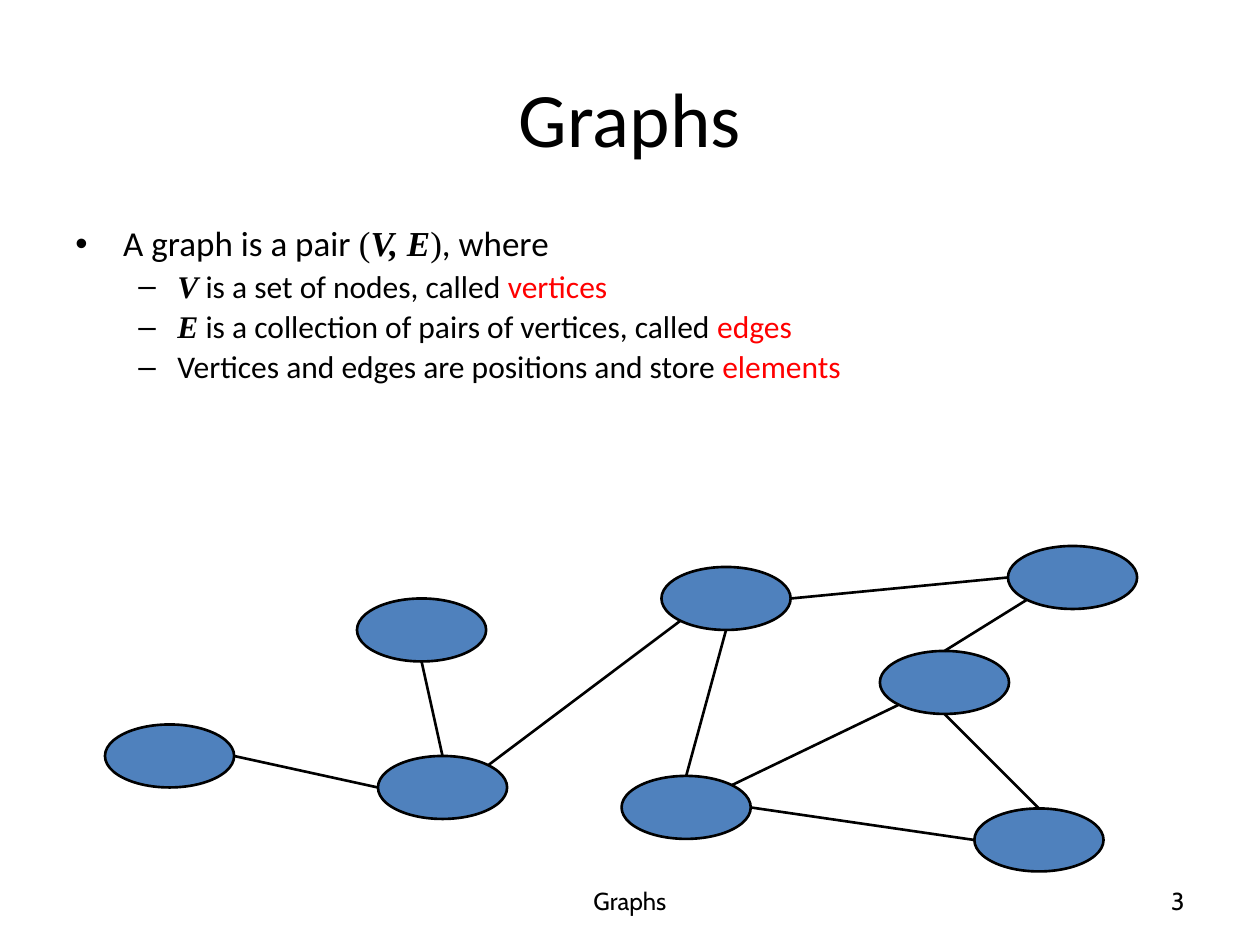
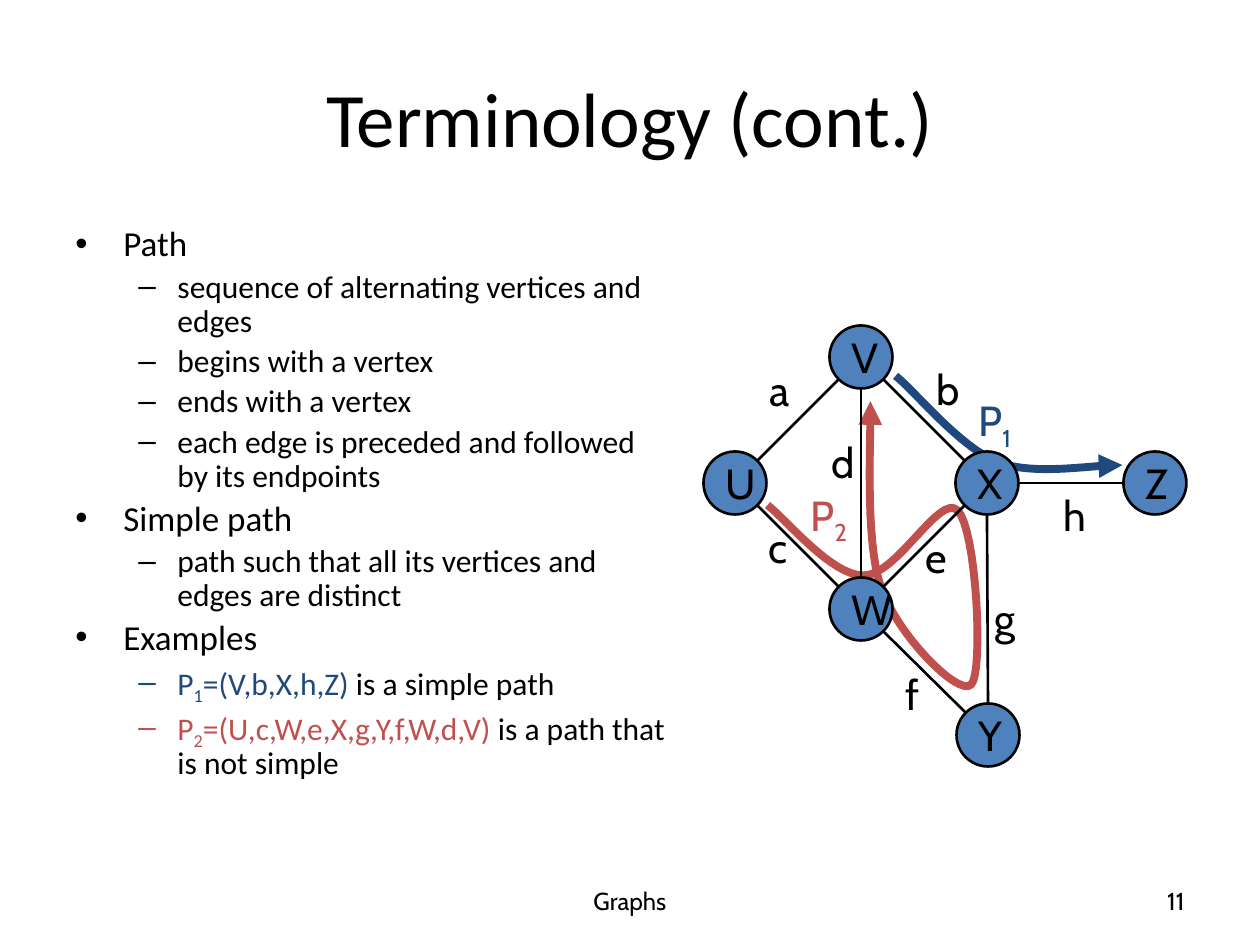
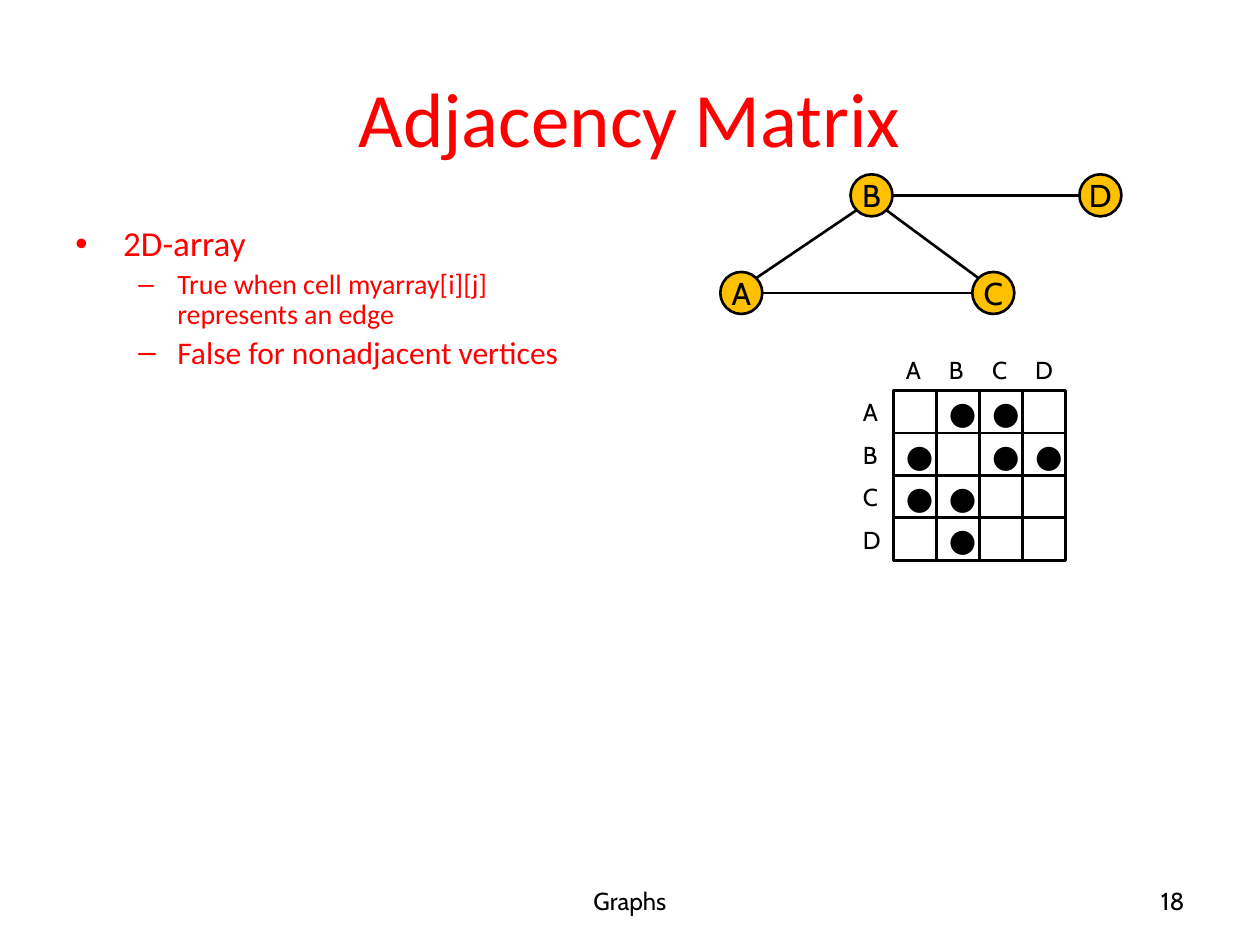
import itertools
import math

import lxml.etree
import pptx
import pptx.dml.color
import pptx.enum.shapes
import pptx.enum.text
import pptx.oxml.ns
import pptx.util

RGBColor = pptx.dml.color.RGBColor
BLACK = RGBColor(0x00, 0x00, 0x00)
WHITE = RGBColor(0xFF, 0xFF, 0xFF)
RED = RGBColor(0xFF, 0x00, 0x00)
NODE_BLUE = RGBColor(0x4F, 0x81, 0xBD)
NODE_GOLD = RGBColor(0xFF, 0xC0, 0x00)
PATH_BLUE = RGBColor(0x1F, 0x49, 0x7D)
PATH_RED = RGBColor(0xC0, 0x50, 0x4D)

BODY_FONT = "Calibri"
LABEL_FONT = "Cabin"
MATH_FONT = "Times New Roman"

COLUMNS, ROWS = 120, 90
WIDTH, HEIGHT = pptx.util.Inches(10), pptx.util.Inches(7.5)

LEFT = pptx.enum.text.PP_ALIGN.LEFT
CENTER = pptx.enum.text.PP_ALIGN.CENTER
RIGHT = pptx.enum.text.PP_ALIGN.RIGHT
TOP = pptx.enum.text.MSO_ANCHOR.TOP
MIDDLE = pptx.enum.text.MSO_ANCHOR.MIDDLE
OVAL = pptx.enum.shapes.MSO_SHAPE.OVAL
RECTANGLE = pptx.enum.shapes.MSO_SHAPE.RECTANGLE

# Bullet character, left margin and hanging indent in inches, for each level
BULLETS = [("•", 0.38, -0.38), ("–", 0.81, -0.31)]

# Directions from the middle of a node to a point on its outline
DIAGONAL = math.sqrt(0.5)
SIDES = {
    "n": (0, -1), "s": (0, 1), "w": (-1, 0), "e": (1, 0),
    "nw": (-DIAGONAL, -DIAGONAL), "ne": (DIAGONAL, -DIAGONAL),
    "sw": (-DIAGONAL, DIAGONAL), "se": (DIAGONAL, DIAGONAL),
}


def add_xml(parent, tag, **attributes):
    return lxml.etree.SubElement(parent, pptx.oxml.ns.qn(tag), attributes)


def curve_points(start, segments, steps=16):
    """Points along joined cubic curves, each given as two controls and an end."""
    points = [start]
    for first, second, end in segments:
        corners = (points[-1], first, second, end)
        for step in range(1, steps + 1):
            t = step / steps
            weights = ((1 - t) ** 3, 3 * t * (1 - t) ** 2, 3 * t * t * (1 - t), t ** 3)
            points.append(tuple(sum(w * corner[axis] for w, corner in zip(weights, corners))
                                for axis in (0, 1)))
    return points


class Deck:
    """Holds the presentation, the current slide and the shared style."""

    def __init__(self):
        self.presentation = pptx.Presentation()
        self.presentation.slide_width = WIDTH
        self.presentation.slide_height = HEIGHT
        self.slide = None

    def x(self, columns):
        return round(WIDTH * columns / COLUMNS)

    def y(self, rows):
        return round(HEIGHT * rows / ROWS)

    def box(self, left, top, width, height):
        return self.x(left), self.y(top), self.x(width), self.y(height)

    def start_slide(self, title, number, body, body_width=108, color=BLACK):
        layout = self.presentation.slide_layouts[6]
        self.slide = self.presentation.slides.add_slide(layout)
        self.text((6, 3.6, 108, 15), title, 44, BODY_FONT, color, CENTER, MIDDLE, wrap=True)
        self.body(body, body_width, color)
        for box, text, align in (((41, 83.4, 38, 4.8), "Graphs", CENTER),
                                 ((86, 83.4, 28, 4.8), number, RIGHT)):
            self.text(box, text, 14, LABEL_FONT, BLACK, align, MIDDLE, wrap=True)

    def fill_paragraph(self, paragraph, content, size, font=BODY_FONT, color=BLACK):
        """Content is a string or a list of strings and (string, differences) pairs."""
        paragraph.font.size = pptx.util.Pt(size)
        paragraph.font.name = font
        paragraph.font.color.rgb = color
        for part in [content] if isinstance(content, str) else content:
            text, style = (part, {}) if isinstance(part, str) else part
            run = paragraph.add_run()
            run.text = text
            if "font" in style:
                run.font.name = style["font"]
            if "color" in style:
                run.font.color.rgb = style["color"]
            if style.get("strong"):
                run.font.bold = run.font.italic = True
            if style.get("subscript"):
                run.font._element.set("baseline", "-25000")

    def text(self, box, content, size, font=LABEL_FONT, color=BLACK, align=LEFT,
             anchor=TOP, wrap=False, grow=False):
        frame = self.slide.shapes.add_textbox(*self.box(*box)).text_frame
        frame.word_wrap = wrap
        frame.vertical_anchor = anchor
        if grow:
            frame.auto_size = pptx.enum.text.MSO_AUTO_SIZE.SHAPE_TO_FIT_TEXT
        frame.paragraphs[0].alignment = align
        self.fill_paragraph(frame.paragraphs[0], content, size, font, color)

    def body(self, items, width, color):
        """Items are (level, size, content)."""
        frame = self.slide.shapes.add_textbox(*self.box(6, 21, width, 59.4)).text_frame
        frame.word_wrap = True
        for index, (level, size, content) in enumerate(items):
            paragraph = frame.add_paragraph() if index else frame.paragraphs[0]
            paragraph.level = level
            paragraph.line_spacing = 0.9
            character, margin, indent = BULLETS[level]
            properties = paragraph._p.get_or_add_pPr()
            properties.set("marL", str(pptx.util.Inches(margin)))
            properties.set("indent", str(pptx.util.Inches(indent)))
            add_xml(add_xml(properties, "a:spcBef"), "a:spcPct", val="20000")
            add_xml(properties, "a:buFont", typeface="Arial")
            add_xml(properties, "a:buChar", char=character)
            self.fill_paragraph(paragraph, content, size, color=color)

    def outline(self, line, color=BLACK, width=1.5):
        line.color.rgb = color
        line.width = pptx.util.Pt(width)

    def shape(self, kind, box, fill, text="", size=18, align=LEFT):
        shape = self.slide.shapes.add_shape(kind, *self.box(*box))
        shape.shadow.inherit = False
        shape.fill.solid()
        shape.fill.fore_color.rgb = fill
        self.outline(shape.line)
        if text:
            frame = shape.text_frame
            frame.word_wrap = False
            frame.vertical_anchor = MIDDLE
            frame.paragraphs[0].alignment = align
            self.fill_paragraph(frame.paragraphs[0], text, size, LABEL_FONT)
        return shape

    def edge(self, start, start_side, end, end_side):
        ends = []
        for node, side in ((start, start_side), (end, end_side)):
            across, down = SIDES[side]
            ends += [round(node.left + node.width * (1 + across) / 2),
                     round(node.top + node.height * (1 + down) / 2)]
        straight = pptx.enum.shapes.MSO_CONNECTOR.STRAIGHT
        connector = self.slide.shapes.add_connector(straight, *ends)
        add_xml(connector._element.spPr, "a:effectLst")
        self.outline(connector.line)

    def graph(self, nodes, edges, width, height, fill, size=18, align=LEFT, lettered=True):
        """Nodes map a name to left and top; an edge reads 'A se B nw'."""
        shapes = {name: self.shape(OVAL, (*place, width, height), fill,
                                   name if lettered else "", size, align)
                  for name, place in nodes.items()}
        for edge in edges:
            start, start_side, end, end_side = edge.split()
            self.edge(shapes[start], start_side, shapes[end], end_side)

    def curved_arrow(self, start, segments, color, arrow_end):
        points = [(self.x(x), self.y(y)) for x, y in curve_points(start, segments)]
        builder = self.slide.shapes.build_freeform(*points[0])
        builder.add_line_segments(points[1:], close=False)
        curve = builder.convert_to_shape()
        curve.shadow.inherit = False
        curve.fill.background()
        self.outline(curve.line, color, 4.5)
        add_xml(curve.line._get_or_add_ln(), arrow_end, type="triangle")


def graphs_slide(deck):
    symbol = {"font": MATH_FONT, "strong": True}
    bracket = {"font": MATH_FONT}
    term = {"color": RED}
    deck.start_slide("Graphs", "3", [
        (0, 20, ["A graph is a pair ", ("(", bracket), ("V, E", symbol), (")", bracket),
                 ", where"]),
        (1, 18, [("V", symbol), " is a set of nodes, called ", ("vertices", term)]),
        (1, 18, [("E", symbol), " is a collection of pairs of vertices, called ",
                 ("edges", term)]),
        (1, 18, ["Vertices and edges are positions and store ", ("elements", term)]),
    ])
    nodes = {
        "center": (63, 54), "far_right": (96, 52), "low_right": (92.8, 77),
        "low_center": (59.2, 73.9), "upper_left": (34, 57), "low_left": (36, 72),
        "right": (83.8, 62), "far_left": (10, 69),
    }
    edges = [
        "low_center n center s", "low_center ne right sw", "right n far_right sw",
        "center e far_right w", "far_left e low_left w", "upper_left s low_left n",
        "right s low_right n", "low_right w low_center e", "low_left ne center sw",
    ]
    deck.graph(nodes, edges, 12.3, 6, NODE_BLUE, lettered=False)


def terminology_slide(deck):
    def path_name(digit, color, rest=""):
        parts = [("P", {"color": color}), (digit, {"color": color, "subscript": True})]
        return parts + [(rest, {"color": color})] if rest else parts

    deck.start_slide("Terminology (cont.)", "11", [
        (0, 20, "Path"),
        (1, 18, "sequence of alternating vertices and edges"),
        (1, 18, "begins with a vertex"),
        (1, 18, "ends with a vertex"),
        (1, 18, "each edge is preceded and followed by its endpoints"),
        (0, 20, "Simple path"),
        (1, 18, "path such that all its vertices and edges are distinct"),
        (0, 20, "Examples"),
        (1, 18, path_name("1", PATH_BLUE, "=(V,b,X,h,Z)") + [" is a simple path"]),
        (1, 18, path_name("2", PATH_RED, "=(U,c,W,e,X,g,Y,f,W,d,V)")
         + [" is a path that is not simple"]),
    ], body_width=58.9)
    deck.curved_arrow((82.9, 38.2), [
        ((83, 41), (82.3, 51.4), (83.9, 55.9)),
        ((85.4, 60.4), (91.3, 66.4), (92.5, 65.2)),
        ((93.7, 64), (93, 50.3), (91.2, 48.6)),
        ((89.5, 46.9), (85.3, 55), (82.2, 54.8)),
        ((79.2, 54.8), (75, 49.6), (73.1, 48.1)),
    ], PATH_RED, "a:headEnd")
    deck.curved_arrow((85.3, 35.8), [
        ((87, 37.1), (91.4, 42.6), (95, 44)),
        ((98.6, 45.4), (104.4, 44.2), (106.9, 44.3)),
    ], PATH_BLUE, "a:tailEnd")
    nodes = {"X": (91, 43), "U": (67, 43), "V": (79, 31), "W": (79, 55),
             "Z": (107, 43), "Y": (91.1, 67)}
    edges = ["V sw U ne", "W nw U se", "W ne X sw", "X e Z w", "V se X nw",
             "V s W n", "W se Y nw", "X s Y n"]
    deck.graph(nodes, edges, 6, 6, NODE_BLUE, size=24)
    labels = [
        ("a", 72.1, 34.1, 4.6), ("c", 72, 49.1, 4.3), ("b", 88, 34, 4.7),
        ("e", 87, 50, 4.6), ("d", 78, 41, 4.7), ("f", 85.1, 63.1, 3.7),
        ("g", 93.5, 55.8, 4.7), ("h", 100.1, 46, 4.7),
        (path_name("1", PATH_BLUE), 92, 37, 6.1),
        (path_name("2", PATH_RED), 76, 46, 6.1),
    ]
    for content, left, top, width in labels:
        deck.text((left, top, width, 6), content, 24, grow=True)


def matrix_slide(deck):
    deck.start_slide("Adjacency Matrix", "18", [
        (0, 20, "2D-array"),
        (1, 16, "True when cell myarray[i][j] represents an edge"),
        (1, 18, "False for nonadjacent vertices"),
    ], body_width=53.5, color=RED)
    nodes = {"A": (68.6, 25.9), "B": (81, 16.6), "C": (92.6, 25.9), "D": (102.8, 16.6)}
    edges = ["B se C nw", "B sw A ne", "B e D w", "A e C w"]
    deck.graph(nodes, edges, 4, 4, NODE_GOLD, align=CENTER)

    adjacent = {frozenset(edge.split()[::2]) for edge in edges}
    cell = 4.1
    lefts = {name: 85.1 + 4.1 * index for index, name in enumerate(nodes)}
    tops = {name: 37.2 + 4.04 * index for index, name in enumerate(nodes)}
    for row, column in itertools.product(nodes, nodes):
        dot = "●" if frozenset((row, column)) in adjacent else ""
        deck.shape(RECTANGLE, (lefts[column], tops[row], cell, cell), WHITE, dot)
    for name in nodes:
        for left, top in ((lefts[name], 33.2), (81, tops[name])):
            deck.text((left, top, cell, cell), name, 14, anchor=MIDDLE)


def main():
    deck = Deck()
    graphs_slide(deck)
    terminology_slide(deck)
    matrix_slide(deck)
    deck.presentation.save("out.pptx")


if __name__ == "__main__":
    main()
